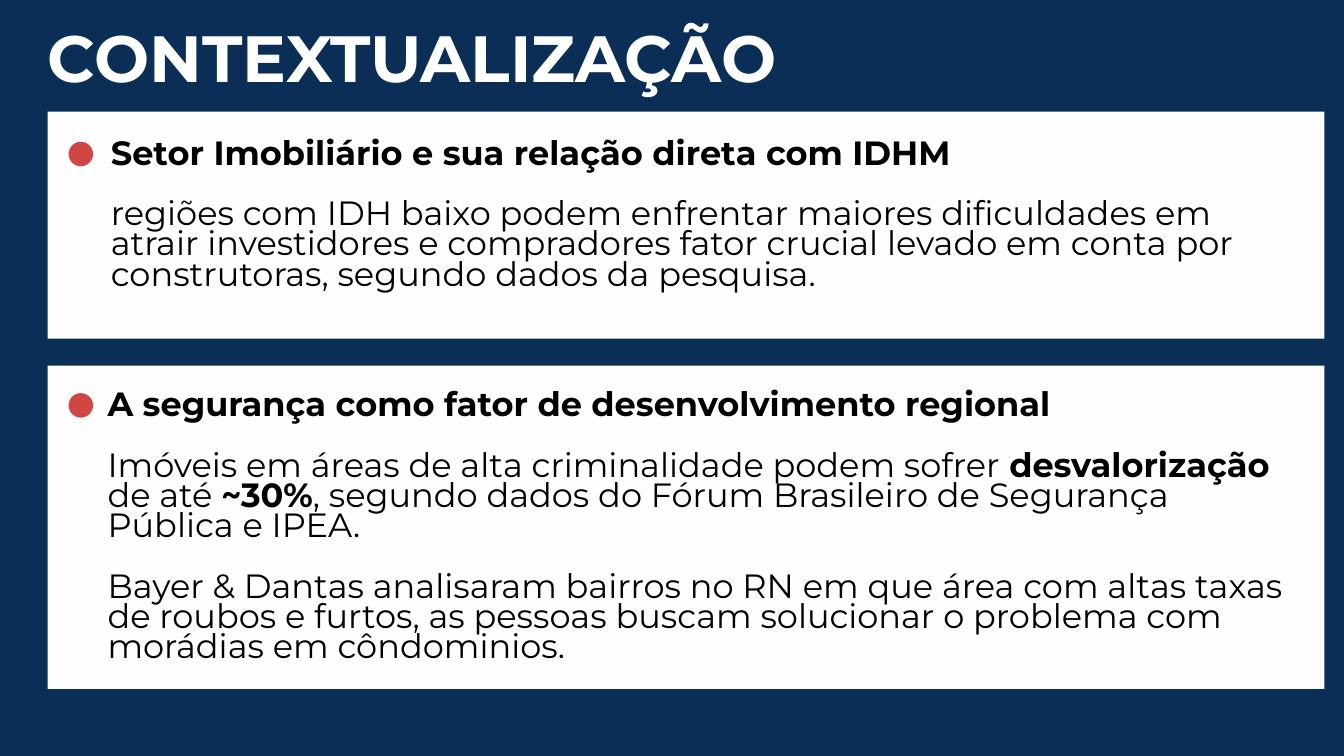
from collections import namedtuple

from pptx import Presentation
from pptx.dml.color import RGBColor
from pptx.enum.shapes import MSO_SHAPE as Shape
from pptx.util import Inches, Pt

COLORS = {"navy": "0B2E57", "card": "FEFEFE", "dot": "D24545",
          "title": "FFFFFF", "text": "000000"}
FONT = "Montserrat"
LINE = Pt(32.4)
UNIT = Inches(20) / 200  # the grid has 200 columns; rows are as tall as columns are wide

Box = namedtuple("Box", "left top width height")


def color(name):
    return RGBColor.from_string(COLORS[name])


def grid(box):
    return [round(length * UNIT) for length in box]


def add_filled(slide, kind, box, fill):
    shape = slide.shapes.add_shape(kind, *grid(box))
    shape.shadow.inherit = False
    shape.fill.solid()
    shape.fill.fore_color.rgb = color(fill)
    shape.line.fill.background()


def add_text(slide, box, paragraphs, size, line, ink):
    """Each paragraph is a list of (text, bold) runs, set one blank line apart."""
    frame = slide.shapes.add_textbox(*grid(box)).text_frame
    frame.word_wrap = True
    frame.margin_left = frame.margin_top = frame.margin_right = frame.margin_bottom = 0
    for index, runs in enumerate(paragraphs):
        paragraph = frame.add_paragraph() if index else frame.paragraphs[0]
        paragraph.line_spacing = line
        if index:
            paragraph.space_before = line
        font = paragraph.font
        font.name, font.size, font.color.rgb = FONT, Pt(size), color(ink)
        for text, bold in runs:
            run = paragraph.add_run()
            run.text = text
            run.font.bold = bold


def add_title(slide, box, text):
    add_text(slide, box, [[(text, True)]], 70, Pt(63), "title")


def add_card(slide, box, inset, heading, body):
    """White card with a dot and text; inset is the text's left, top and width in the card."""
    left, top, width = inset
    add_filled(slide, Shape.RECTANGLE, box, "card")
    add_filled(slide, Shape.OVAL, Box(box.left + 3.1, box.top + top, 3.65, 3.65), "dot")
    text_box = Box(box.left + left, box.top + top, width, box.height - top)
    add_text(slide, text_box, [[(heading, True)], *body], 36, LINE, "text")


def main():
    presentation = Presentation()
    presentation.slide_width, presentation.slide_height = Inches(20), Inches(11.25)
    slide = presentation.slides.add_slide(presentation.slide_layouts[6])
    slide.background.fill.solid()
    slide.background.fill.fore_color.rgb = color("navy")

    add_title(slide, Box(7.1, 5.5, 113, 9.4), "CONTEXTUALIZAÇÃO")
    add_card(
        slide, Box(7.1, 16.6, 190, 33.8), (9.4, 4.5, 173.3),
        "Setor Imobiliário e sua relação direta com IDHM",
        [[("regiões com IDH baixo podem enfrentar maiores dificuldades em atrair "
           "investidores e compradores fator crucial levado em conta por construtoras, "
           "segundo dados da pesquisa.", False)]])
    add_card(
        slide, Box(7.1, 54.4, 190, 48.1), (8.9, 4.1, 176.8),
        "A segurança como fator de desenvolvimento regional",
        [[("Imóveis em áreas de alta criminalidade podem sofrer", False),
          (" desvalorização", True),
          (" de até ", False),
          ("~30%", True),
          (", segundo dados do Fórum Brasileiro de Segurança Pública e IPEA.", False)],
         [("Bayer & Dantas analisaram bairros no RN em que área com altas taxas de roubos "
           "e furtos, as pessoas buscam solucionar o problema com morádias em "
           "côndominios.", False)]])

    presentation.save("out.pptx")


if __name__ == "__main__":
    main()
